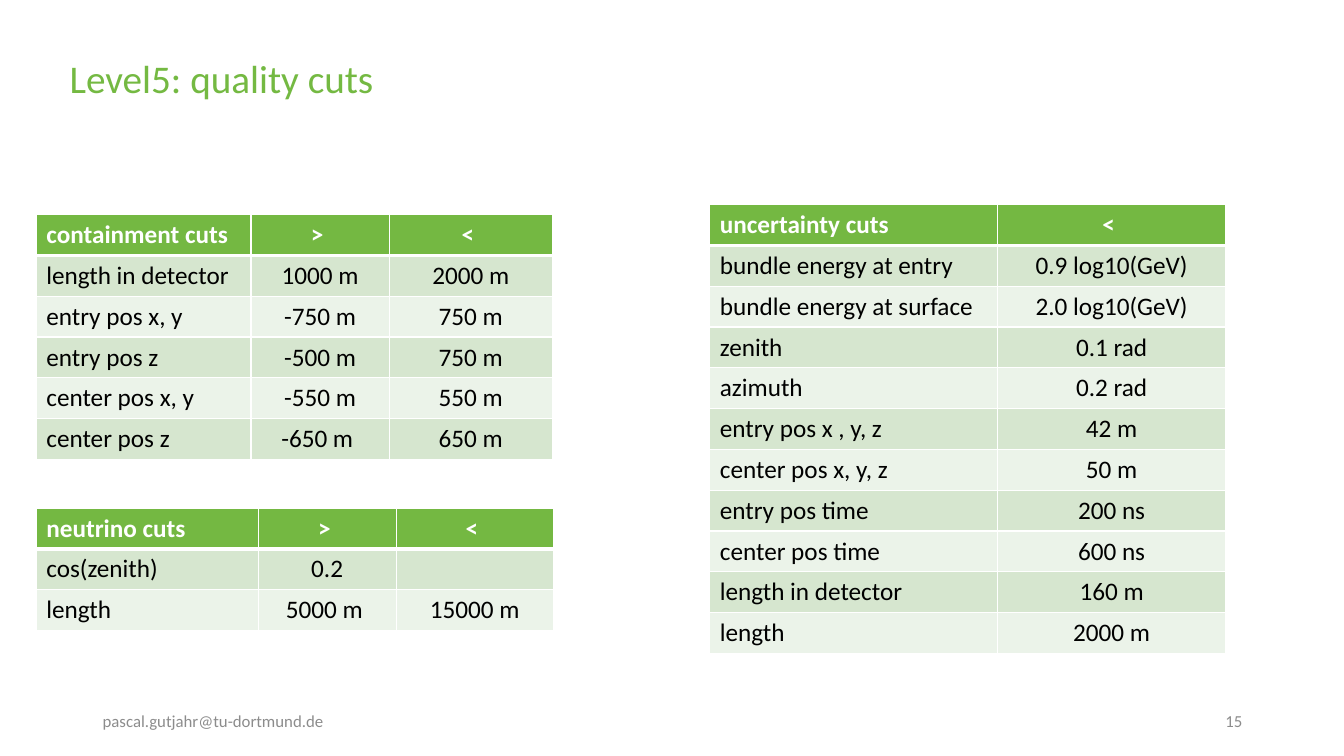
from dataclasses import dataclass

from lxml import etree
from pptx import Presentation
from pptx.dml.color import RGBColor
from pptx.enum.text import MSO_ANCHOR, PP_ALIGN
from pptx.oxml.ns import qn
from pptx.util import Inches, Pt

LEFT, CENTER, RIGHT = PP_ALIGN.LEFT, PP_ALIGN.CENTER, PP_ALIGN.RIGHT
MIDDLE = MSO_ANCHOR.MIDDLE
TITLE_ONLY = 5


@dataclass(frozen=True)
class Theme:
    font: str = "Calibri"
    title: str = "74B942"
    header: str = "74B842"
    odd_row: str = "D6E6CF"
    even_row: str = "EBF3E9"
    border: str = "FFFFFF"
    header_text: str = "FFFFFF"
    body_text: str = "000000"
    footer_text: str = "8C8C8C"
    title_size: int = 28
    table_size: int = 18
    footer_size: int = 12


theme = Theme()
ROW_HEIGHT = 0.405
FOOTER_TOP, FOOTER_WIDTH, FOOTER_HEIGHT = 6.95, 3, 0.4


def write(paragraph, text, size, color, align=LEFT, bold=False):
    paragraph.alignment = align
    run = paragraph.add_run()
    run.text = text
    run.font.name = theme.font
    run.font.size = Pt(size)
    run.font.bold = bold
    run.font.color.rgb = RGBColor.from_string(color)


def add_borders(cell, widths):
    properties = cell._tc.get_or_add_tcPr()
    for side, width in widths.items():
        line = etree.SubElement(properties, qn(f"a:ln{side}"), w=str(Pt(width)))
        fill = etree.SubElement(line, qn("a:solidFill"))
        etree.SubElement(fill, qn("a:srgbClr"), val=theme.border)


presentation = Presentation()
presentation.slide_width = Inches(13.33)
presentation.slide_height = Inches(7.5)
slide = presentation.slides.add_slide(presentation.slide_layouts[TITLE_ONLY])

# Title
title = slide.shapes.title
title.left, title.top = Inches(0.59), Inches(0.4)
title.width, title.height = Inches(12.59), Inches(0.81)
title.text_frame.vertical_anchor = MIDDLE
title_paragraph = title.text_frame.paragraphs[0]
title_paragraph.line_spacing = 0.9
write(title_paragraph, "Level5: quality cuts", theme.title_size, theme.title)

# Footer: contact and page number
for left, text, align in [
    (0.92, "pascal.gutjahr@tu-dortmund.de", LEFT),
    (9.42, "15", RIGHT),
]:
    footer = slide.shapes.add_textbox(
        Inches(left), Inches(FOOTER_TOP), Inches(FOOTER_WIDTH), Inches(FOOTER_HEIGHT)
    )
    footer.text_frame.word_wrap = True
    footer.text_frame.vertical_anchor = MIDDLE
    write(footer.text_frame.paragraphs[0], text, theme.footer_size, theme.footer_text, align)

# Cut tables: left, top, column widths, rows
containment_cuts = [
    ("containment cuts", "> ", "< "),
    ("length in detector", "1000 m", "2000 m"),
    ("entry pos x, y", "-750 m", "750 m"),
    ("entry pos z", "-500 m", "750 m"),
    ("center pos x, y", "-550 m", "550 m"),
    ("center pos z", "-650 m ", "650 m"),
]
neutrino_cuts = [
    ("neutrino cuts", "> ", "< "),
    ("cos(zenith)", "0.2", ""),
    ("length", "5000 m ", "15000 m"),
]
uncertainty_cuts = [
    ("uncertainty cuts", "< "),
    ("bundle energy at entry", "0.9 log10(GeV)"),
    ("bundle energy at surface", "2.0 log10(GeV)"),
    ("zenith", "0.1 rad"),
    ("azimuth", "0.2 rad"),
    ("entry pos x , y, z", "42 m"),
    ("center pos x, y, z", "50 m"),
    ("entry pos time", "200 ns"),
    ("center pos time", "600 ns"),
    ("length in detector", "160 m"),
    ("length", "2000 m"),
]

for left, top, column_widths, rows in [
    (0.36, 2.13, (2.13, 1.37, 1.62), containment_cuts),
    (0.36, 5.04, (2.2, 1.37, 1.56), neutrino_cuts),
    (7.04, 2.03, (2.85, 2.27), uncertainty_cuts),
]:
    table = slide.shapes.add_table(
        len(rows), len(column_widths), Inches(left), Inches(top),
        Inches(sum(column_widths)), Inches(ROW_HEIGHT * len(rows)),
    ).table
    for column, width in zip(table.columns, column_widths):
        column.width = Inches(width)

    for row_index, row in enumerate(rows):
        is_header = row_index == 0
        if is_header:
            fill_color, text_color = theme.header, theme.header_text
        else:
            fill_color = theme.odd_row if row_index % 2 else theme.even_row
            text_color = theme.body_text
        top_width = 3 if row_index == 1 else 1
        bottom_width = 3 if is_header else 1

        for column_index, text in enumerate(row):
            cell = table.cell(row_index, column_index)
            add_borders(cell, {"L": 1, "R": 1, "T": top_width, "B": bottom_width})
            cell.fill.solid()
            cell.fill.fore_color.rgb = RGBColor.from_string(fill_color)
            if text:
                align = CENTER if column_index else LEFT
                write(cell.text_frame.paragraphs[0], text, theme.table_size,
                      text_color, align, is_header)

presentation.save("out.pptx")
